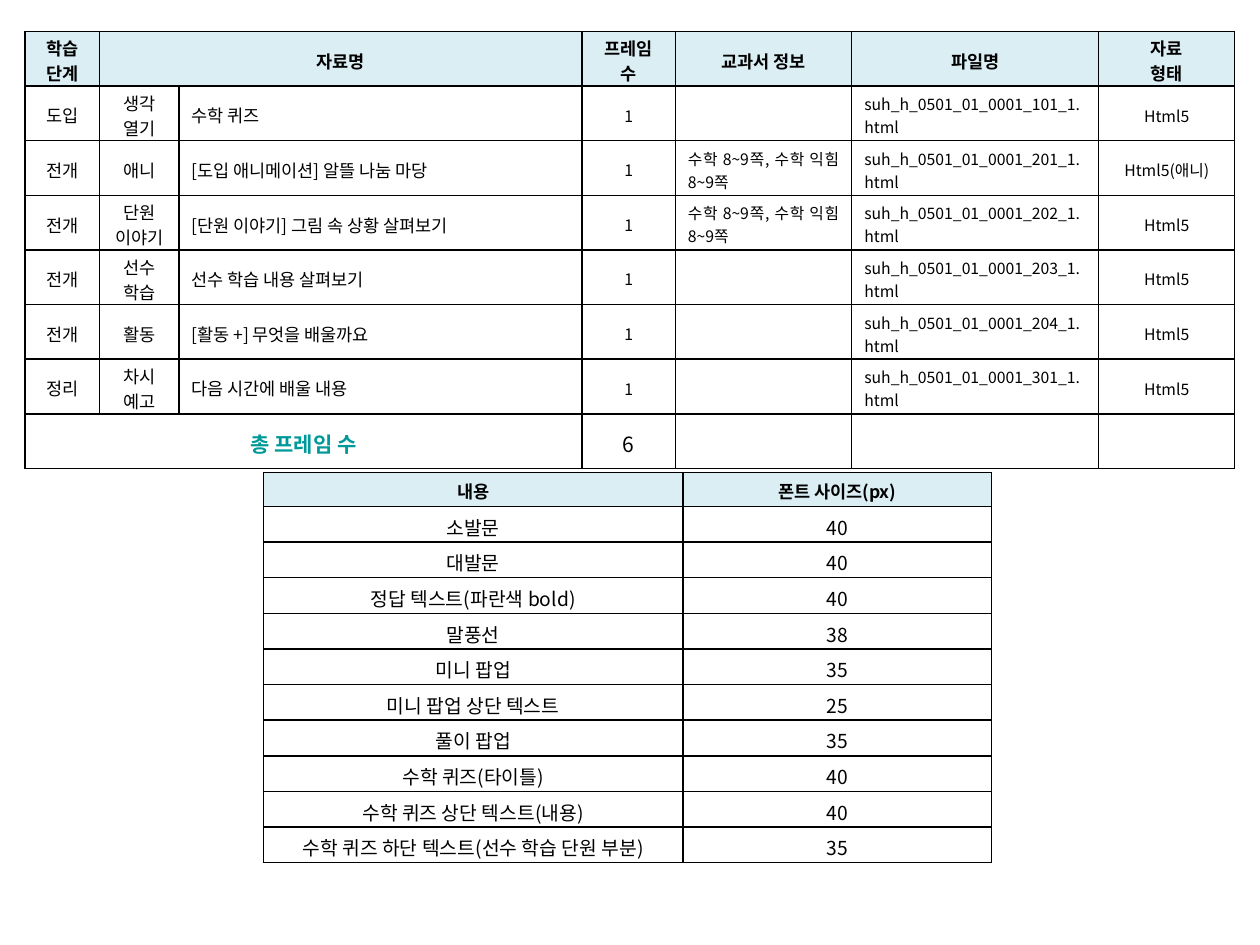
from dataclasses import dataclass

from lxml.etree import SubElement
from pptx import Presentation
from pptx.dml.color import RGBColor
from pptx.enum.text import MSO_ANCHOR, PP_ALIGN
from pptx.oxml.ns import qn
from pptx.util import Inches, Pt


@dataclass(frozen=True)
class Theme:
    font: str = "Noto Sans CJK KR"
    ink: str = "000000"
    accent: str = "009999"
    header: str = "DBEEF4"
    paper: str = "FFFFFF"
    small: int = 9
    body: int = 10
    size_row: int = 11
    total: int = 12
    border: int = 1


THEME = Theme()
CENTER, LEFT, JUSTIFY = PP_ALIGN.CENTER, PP_ALIGN.LEFT, PP_ALIGN.JUSTIFY

LESSON_HEADER = ["학습 단계", "자료명", "", "프레임 수", "교과서 정보", "파일명", "자료\n형태"]
TEXTBOOK = "수학 8~9쪽, 수학 익힘 8~9쪽"
LESSONS = [
    ("도입", "생각\n열기", "수학 퀴즈", "", 101, "Html5"),
    ("전개", "애니", "[도입 애니메이션] 알뜰 나눔 마당", TEXTBOOK, 201, "Html5(애니)"),
    ("전개", "단원\n이야기", "[단원 이야기] 그림 속 상황 살펴보기", TEXTBOOK, 202, "Html5"),
    ("전개", "선수\v학습", "선수 학습 내용 살펴보기", "", 203, "Html5"),
    ("전개", "활동", "[활동 +] 무엇을 배울까요", "", 204, "Html5"),
    ("정리", "차시 예고", "다음 시간에 배울 내용", "", 301, "Html5"),
]
LESSON_ALIGN = [CENTER, CENTER, LEFT, CENTER, JUSTIFY, JUSTIFY, CENTER]
LESSON_SIZES = [THEME.body] * 3 + [THEME.small] * 4

FONT_SIZES = [
    ("소발문", 40),
    ("대발문", 40),
    ("정답 텍스트(파란색 bold)", 40),
    ("말풍선", 38),
    ("미니 팝업", 35),
    ("미니 팝업 상단 텍스트", 25),
    ("풀이 팝업", 35),
    ("수학 퀴즈(타이틀)", 40),
    ("수학 퀴즈 상단 텍스트(내용)", 40),
    ("수학 퀴즈 하단 텍스트(선수 학습 단원 부분)", 35),
]


def add_grid(s, left, top, widths, heights, margins, anchor):
    frame = s.shapes.add_table(len(heights), len(widths), Inches(left), Inches(top),
                               Inches(sum(widths)), Inches(sum(heights)))
    table = frame.table
    table.first_row = table.horz_banding = False
    for column, width in zip(table.columns, widths):
        column.width = Inches(width)
    for row, height in zip(table.rows, heights):
        row.height = Inches(height)
    for cell in table.iter_cells():
        cell.margin_left = cell.margin_right = Inches(0.1)
        cell.margin_top, cell.margin_bottom = map(Inches, margins)
        cell.vertical_anchor = anchor
        add_borders(cell)
        cell.fill.background()
    return table


def add_borders(cell):
    tc_pr = cell._tc.get_or_add_tcPr()
    for side in ("a:lnL", "a:lnR", "a:lnT", "a:lnB"):
        line = SubElement(tc_pr, qn(side), w=str(Pt(THEME.border)))
        fill = SubElement(line, qn("a:solidFill"))
        SubElement(fill, qn("a:srgbClr"), val=THEME.ink)


def fill_cell(cell, color):
    cell.fill.solid()
    cell.fill.fore_color.rgb = RGBColor.from_string(color)


def write(cell, text, size, align=CENTER, bold=False, color=THEME.ink):
    if not text:
        return
    tf = cell.text_frame
    tf.text = text
    for p in tf.paragraphs:
        p.alignment = align
        p.font.size = Pt(size)
        p.font.bold = bold
        p.font.color.rgb = RGBColor.from_string(color)
        p.font.name = THEME.font
        def_rpr = p._p.pPr.find(qn("a:defRPr"))
        SubElement(def_rpr, qn("a:ea"), typeface=THEME.font)


def write_header(table, labels):
    for col, label in enumerate(labels):
        cell = table.cell(0, col)
        fill_cell(cell, THEME.header)
        write(cell, label, THEME.body, bold=True)


def add_lesson_table(s):
    widths = [0.59, 0.63, 3.2, 0.74, 1.4, 1.96, 1.08]
    total_row = len(LESSONS) + 1
    heights = [3.47 / (total_row + 1)] * (total_row + 1)
    table = add_grid(s, 0.2, 0.25, widths, heights, (0.03, 0), MSO_ANCHOR.MIDDLE)
    table.cell(0, 1).merge(table.cell(0, 2))
    table.cell(total_row, 0).merge(table.cell(total_row, 2))
    write_header(table, LESSON_HEADER)
    for row, (stage, part, title, book, number, kind) in enumerate(LESSONS, 1):
        file_name = f"suh_h_0501_01_0001_{number}_1.html"
        values = [stage, part, title, "1", book, file_name, kind]
        for col, (value, size, align) in enumerate(zip(values, LESSON_SIZES, LESSON_ALIGN)):
            write(table.cell(row, col), value, size, align)
    write(table.cell(total_row, 0), "총 프레임 수", THEME.total, bold=True, color=THEME.accent)
    write(table.cell(total_row, 3), str(len(LESSONS)), THEME.total)


def add_font_size_table(s):
    heights = [0.27] + [0.283] * len(FONT_SIZES)
    table = add_grid(s, 2.09, 3.75, [3.33, 2.45], heights, (0.05, 0.01), MSO_ANCHOR.TOP)
    write_header(table, ["내용", "폰트 사이즈(px)"])
    for row, values in enumerate(FONT_SIZES, 1):
        for col, value in enumerate(values):
            cell = table.cell(row, col)
            fill_cell(cell, THEME.paper)
            write(cell, str(value), THEME.size_row)


def main():
    prs = Presentation()
    prs.slide_width, prs.slide_height = Inches(10), Inches(7.5)
    s = prs.slides.add_slide(prs.slide_layouts[6])
    add_lesson_table(s)
    add_font_size_table(s)
    prs.save("out.pptx")


if __name__ == "__main__":
    main()
